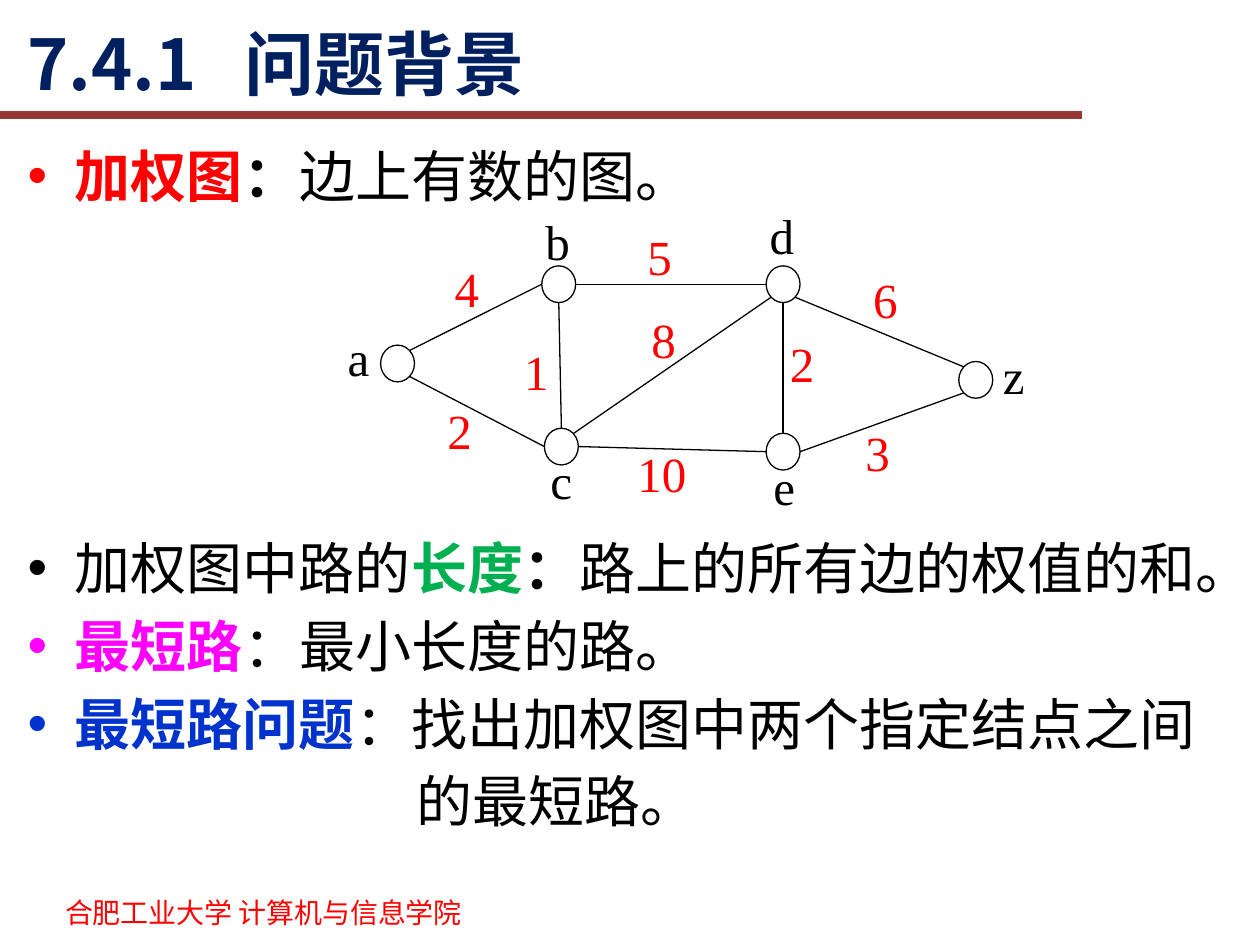
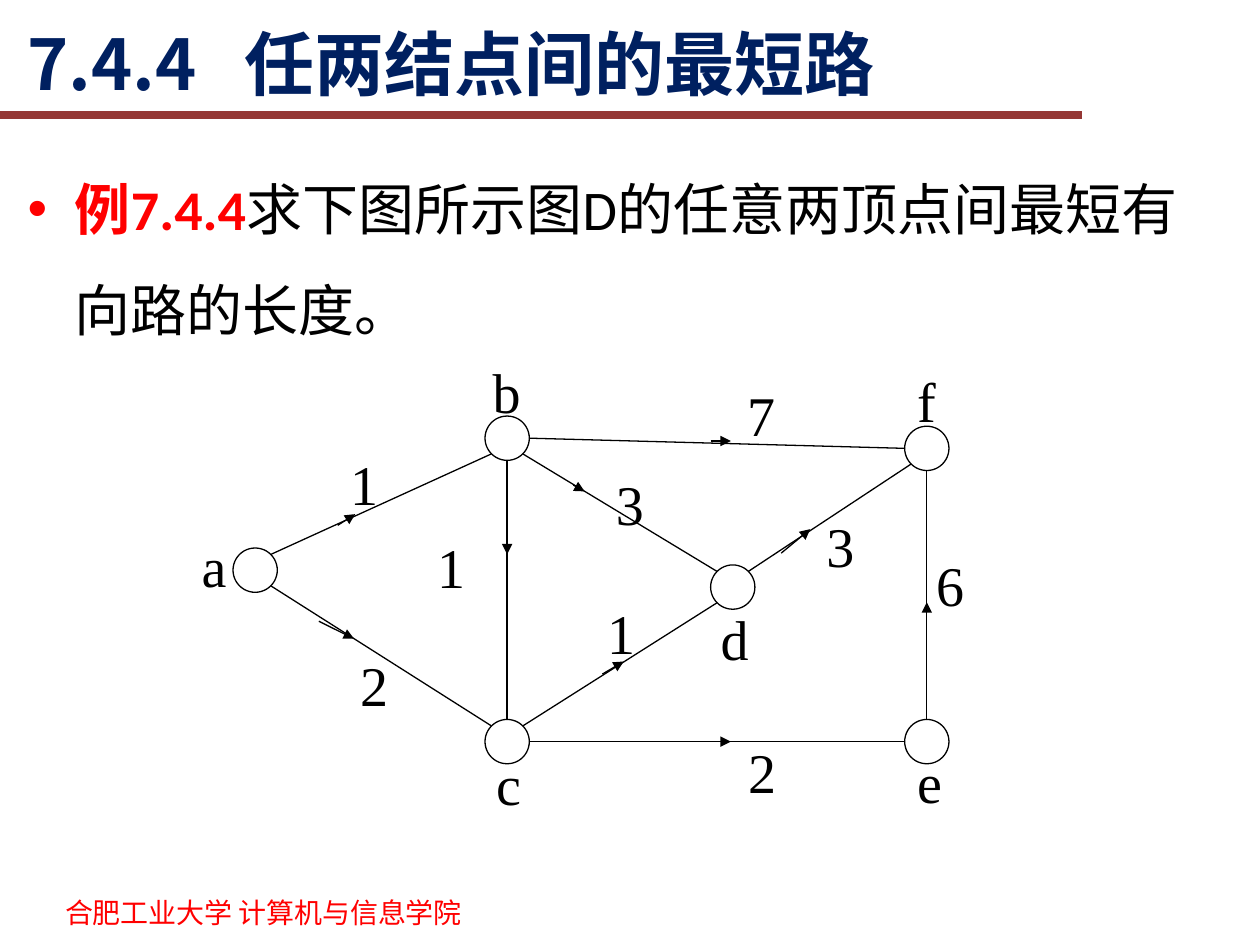
import pptx
import pptx.enum.shapes
import pptx.enum.text
import pptx.oxml.ns
import pptx.util
from lxml import etree

Pt = pptx.util.Pt
COLORS = {
    "rule": "953735", "heading": "002060", "ink": "000000", "paper": "FFFFFF",
    "red": "FF0000", "green": "00B050", "magenta": "FF00FF", "blue": "0033CC",
}
DIAGONAL = 0.71
SITES = {
    "n": (0, -1), "s": (0, 1), "e": (1, 0), "w": (-1, 0),
    "ne": (DIAGONAL, -DIAGONAL), "nw": (-DIAGONAL, -DIAGONAL),
    "se": (DIAGONAL, DIAGONAL), "sw": (-DIAGONAL, DIAGONAL),
}


def color(name):
    return pptx.dml.color.RGBColor.from_string(COLORS[name])


def child(parent, tag, **attributes):
    return etree.SubElement(parent, pptx.oxml.ns.qn(tag), attributes)


class Deck:
    heading_font = "Noto Sans CJK JP"
    footer_font = "Noto Sans CJK SC"
    body_font = "Calibri"
    graph_font = "Times New Roman"
    hang = 27

    def __init__(self):
        self.presentation = pptx.Presentation()
        self.presentation.slide_width = Pt(720)
        self.presentation.slide_height = Pt(540)
        self.slide = None

    def start_slide(self, number, heading):
        layout = self.presentation.slide_layouts[1]
        self.slide = self.presentation.slides.add_slide(layout)
        self.line((0, 65.5), (618.5, 65.5), "rule", 4.5)
        self.title(number, heading)
        self.footer("合肥工业大学 计算机与信息学院")

    def style(self, paragraph, family, size, shade=None, bold=None):
        font = paragraph.font
        font.size, font.name, font.bold = Pt(size), family, bold
        if shade:
            font.color.rgb = color(shade)
        latin = font._element.find(pptx.oxml.ns.qn("a:latin"))
        east_asian = etree.Element(pptx.oxml.ns.qn("a:ea"), typeface=family)
        latin.addnext(east_asian)

    def place(self, shape, left, top, width, height):
        shape.left, shape.top = Pt(left), Pt(top)
        shape.width, shape.height = Pt(width), Pt(height)

    def title(self, number, heading):
        title = self.slide.shapes.title
        self.place(title, 8.6, 5.8, 532, 59.8)
        frame = title.text_frame
        frame.auto_size = pptx.enum.text.MSO_AUTO_SIZE.NONE
        frame.vertical_anchor = pptx.enum.text.MSO_ANCHOR.MIDDLE
        frame.text = f"{number}\t{heading}"
        paragraph = frame.paragraphs[0]
        paragraph.alignment = pptx.enum.text.PP_ALIGN.LEFT
        stops = child(paragraph._p.get_or_add_pPr(), "a:tabLst")
        child(stops, "a:tab", pos=str(Pt(124)), algn="l")
        self.style(paragraph, self.heading_font, 40, "heading", True)

    def footer(self, text):
        box = self.slide.shapes.add_textbox(Pt(17.5), Pt(508.3), Pt(266.4), Pt(28))
        box.text_frame.word_wrap = True
        paragraph = box.text_frame.paragraphs[0]
        paragraph.text = text
        paragraph.alignment = pptx.enum.text.PP_ALIGN.CENTER
        self.style(paragraph, self.footer_font, 16, "red")

    def body(self, items):
        body = self.slide.placeholders[1]
        self.place(body, 8.6, 77, 702.7, 431.3)
        frame = body.text_frame
        frame.auto_size = pptx.enum.text.MSO_AUTO_SIZE.NONE
        for position, item in enumerate(items):
            paragraph = frame.paragraphs[0] if position == 0 else frame.add_paragraph()
            self.list_item(paragraph, **item)
        frame.paragraphs[0].space_before = Pt(0)

    def list_item(self, paragraph, runs, gap=6, spacing=1.0, indent=None):
        paragraph.space_before = Pt(gap)
        paragraph.line_spacing = spacing
        properties = paragraph._p.get_or_add_pPr()
        if indent is None:
            properties.set("marL", str(Pt(self.hang)))
            properties.set("indent", str(-Pt(self.hang)))
            child(properties, "a:buChar", char="•")
        else:
            properties.set("marL", str(Pt(indent)))
            properties.set("indent", "0")
            child(properties, "a:buNone")
        self.style(paragraph, self.body_font, 32)
        for text, shade, bold in runs:
            run = paragraph.add_run()
            run.text = text
            run.font.bold = bold
            run.font.color.rgb = color(shade)

    def line(self, start, end, shade="ink", width=0.75, arrow=False):
        connector = self.slide.shapes.add_connector(
            pptx.enum.shapes.MSO_CONNECTOR.STRAIGHT, *map(Pt, (*start, *end)))
        connector.line.color.rgb = color(shade)
        connector.line.width = Pt(width)
        if arrow:
            child(connector.line._get_or_add_ln(), "a:tailEnd", type="triangle")
        child(connector._element.spPr, "a:effectLst")

    def label(self, text, left, top, size, shade, extent):
        box = self.slide.shapes.add_textbox(Pt(left), Pt(top), *map(Pt, extent))
        frame = box.text_frame
        frame.word_wrap = True
        frame.margin_left = frame.margin_right = Pt(8.6)
        frame.margin_top = frame.margin_bottom = Pt(4.3)
        frame.text = text
        self.style(frame.paragraphs[0], self.graph_font, size, shade)

    def node(self, center, extent):
        x, y = center
        width, height = extent
        circle = self.slide.shapes.add_shape(
            pptx.enum.shapes.MSO_SHAPE.OVAL,
            Pt(x - width / 2), Pt(y - height / 2), Pt(width), Pt(height))
        circle.shadow.inherit = False
        circle.fill.solid()
        circle.fill.fore_color.rgb = color("paper")
        circle.line.color.rgb = color("ink")
        circle.line.width = Pt(0.75)

    def graph(self, nodes, edges, names, weights, weight_shade, size, label_extent, node_extent):
        for labels, shade in ((names, "ink"), (weights, weight_shade)):
            for text, left, top in labels:
                self.label(text, left, top, size, shade, label_extent)
        for center in nodes.values():
            self.node(center, node_extent)

        def site(name, side):
            return tuple(c + d * e / 2 for c, d, e in zip(nodes[name], SITES[side], node_extent))

        for start, start_side, end, end_side in edges:
            self.line(site(start, start_side), site(end, end_side))


def background_slide(deck):
    deck.start_slide("7.4.1", "问题背景")
    deck.body([
        {"runs": [("加权图", "red", True), ("：", "ink", True), ("边上有数的图。", "ink", False)]},
        {"runs": [("加权图中路的", "ink", False), ("长度", "green", True), ("：", "ink", True),
                  ("路上的所有边的权值的和。", "ink", False)], "gap": 186},
        {"runs": [("最短路", "magenta", True), ("：最小长度的路。", "ink", False)]},
        {"runs": [("最短路问题", "blue", True),
                  ("：找出加权图中两个指定结点之间", "ink", False)]},
        {"runs": [("的最短路。", "ink", False)], "indent": 222},
    ])
    deck.graph(
        nodes={"a": (227.2, 207.7), "b": (319.3, 162.4), "c": (320.8, 255.2),
               "d": (447.5, 162.4), "e": (447.5, 258.1), "z": (557.6, 217.1)},
        edges=[("a", "ne", "b", "w"), ("a", "se", "c", "w"), ("b", "s", "c", "n"),
               ("b", "e", "d", "w"), ("c", "ne", "d", "sw"), ("c", "e", "e", "w"),
               ("d", "s", "e", "n"), ("d", "se", "z", "nw"), ("e", "e", "z", "sw")],
        names=[("a", 190.1, 182.9), ("b", 303.1, 116.6), ("c", 306, 253.4),
               ("d", 431.3, 113), ("e", 433.4, 256.3), ("z", 564.5, 193)],
        weights=[("4", 251.3, 143.3), ("2", 247, 224.6), ("1", 290.9, 190.8),
                 ("5", 361.4, 125.3), ("8", 363.6, 172.8), ("10", 355.7, 249.1),
                 ("2", 442.8, 186.5), ("6", 490.3, 149.8), ("3", 486, 236.9)],
        weight_shade="red", size=28, label_extent=(55.4, 61), node_extent=(19.4, 21))


def all_pairs_slide(deck):
    deck.start_slide("7.4.4", "任两结点间的最短路")
    deck.body([
        {"runs": [("例7.4.4", "red", True),
                  ("求下图所示图D的任意两顶点间最短有向路的长度。", "ink", False)],
         "spacing": 1.5},
    ])
    deck.graph(
        nodes={"a": (145.8, 325.8), "b": (289.8, 250.4), "c": (289.8, 423.8),
               "d": (418.7, 335.5), "e": (529.6, 423.8), "f": (529.6, 256.2)},
        edges=[("a", "ne", "b", "sw"), ("a", "se", "c", "nw"), ("b", "s", "c", "n"),
               ("b", "e", "f", "w"), ("b", "se", "d", "nw"), ("c", "ne", "d", "sw"),
               ("c", "e", "e", "w"), ("d", "ne", "f", "sw"), ("e", "n", "f", "s")],
        names=[("a", 106.6, 299.5), ("b", 272.9, 200.2), ("c", 275, 424.1),
               ("d", 403.2, 341.3), ("e", 515.5, 422.6), ("f", 515.5, 205.2)],
        weights=[("1", 191.5, 252.7), ("2", 197.3, 367.2), ("1", 241.2, 300.2),
                 ("7", 418.3, 213.1), ("3", 343.4, 264.2), ("1", 338.4, 337.7),
                 ("2", 419, 416.9), ("3", 463.7, 288), ("6", 526.3, 310.3)],
        weight_shade="ink", size=32, label_extent=(74.2, 74.9), node_extent=(25.3, 25.3))
    directions = [
        ((193, 300.2), (203, 293.8)), ((182.2, 355), (202.3, 365)),
        ((289.8, 313.2), (289.8, 316.8)), ((406.1, 252), (417.6, 252)),
        ((327.6, 277.2), (334.1, 280.8)), ((344.2, 385.2), (356.4, 378)),
        ((406.1, 423.8), (417.6, 423.8)), ((446.4, 316.1), (463, 302.4)),
        ((529.6, 347.8), (529.6, 344.2)),
    ]
    for start, end in directions:
        deck.line(start, end, arrow=True)


def main():
    deck = Deck()
    background_slide(deck)
    all_pairs_slide(deck)
    deck.presentation.save("out.pptx")


if __name__ == "__main__":
    main()
